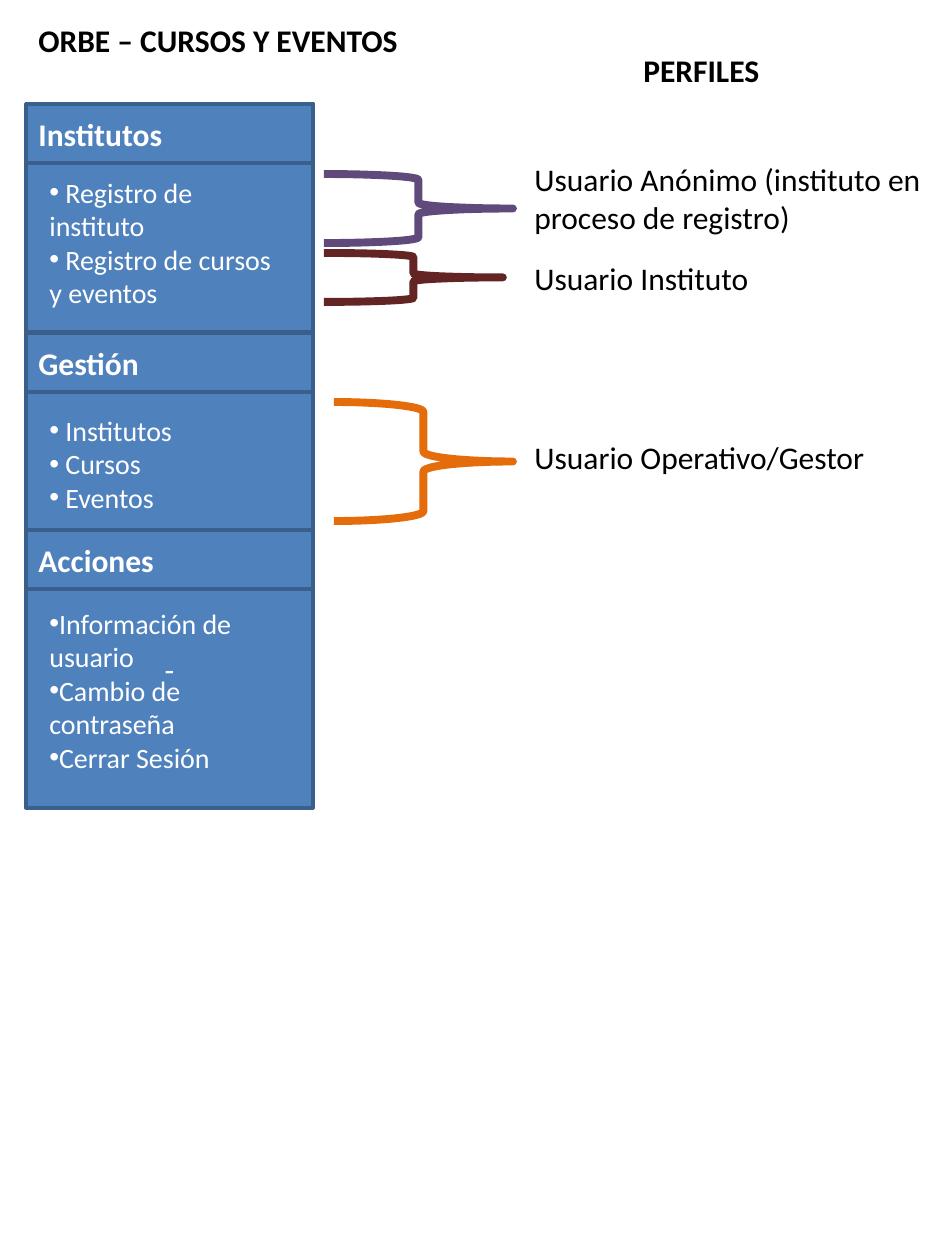
"""Build the slide that links the menu sections of a course portal to user profiles."""
from dataclasses import dataclass

from lxml.etree import SubElement
from pptx import Presentation
from pptx.dml.color import RGBColor
from pptx.enum.shapes import MSO_SHAPE as Preset
from pptx.enum.text import MSO_ANCHOR as Anchor, MSO_AUTO_SIZE as AutoSize, PP_ALIGN as Align
from pptx.oxml.ns import qn
from pptx.util import Pt

PIXEL = 914400 // 126


@dataclass(frozen=True)
class Theme:
    font: str = "Calibri"
    heading_size: int = 18
    item_size: int = 16
    ink: str = "000000"
    white: str = "FFFFFF"
    panel: str = "4F81BD"
    border: str = "3A5F8C"
    anonymous: str = "604A7B"
    institute: str = "632523"
    manager: str = "E46C0A"


theme = Theme()


def write(shape, lines, size, color, bold=False, align=Align.LEFT, bullet=False):
    shape.text_frame.text = "\n".join(lines)
    for paragraph in shape.text_frame.paragraphs:
        paragraph.alignment = align
        for run in paragraph.runs:
            run.font.name = theme.font
            run.font.size = Pt(size)
            run.font.bold = bold
            run.font.color.rgb = RGBColor.from_string(color)
        if bullet:
            properties = paragraph._p.get_or_add_pPr()
            SubElement(properties, qn("a:buFont")).set("typeface", "Arial")
            SubElement(properties, qn("a:buChar")).set("char", "•")


def add_outlined(preset, box, line_color, line_width, fill=None):
    shape = slide.shapes.add_shape(preset, *(value * PIXEL for value in box))
    shape.shadow.inherit = False
    shape.line.color.rgb = RGBColor.from_string(line_color)
    shape.line.width = Pt(line_width)
    if fill:
        shape.fill.solid()
        shape.fill.fore_color.rgb = RGBColor.from_string(fill)
    else:
        shape.fill.background()
    shape.text_frame.vertical_anchor = Anchor.MIDDLE
    return shape


presentation = Presentation()
presentation.slide_width = 945 * PIXEL
presentation.slide_height = 1260 * PIXEL
slide = presentation.slides.add_slide(presentation.slide_layouts[6])

panel_left, panel_width, header_height = 26, 287, 59
sections = [
    ("Institutos", 104, (104, 228), (169, 149), "",
     [" Registro de instituto", " Registro de cursos y eventos"]),
    ("Gestión", 333, (392, 218), (407, 115), "",
     [" Institutos", " Cursos", " Eventos"]),
    ("Acciones", 530, (530, 278), (600, 183), "-",
     ["Información de usuario", "Cambio de contraseña", "Cerrar Sesión"]),
]
for title, header_top, (body_top, body_height), (list_top, list_height), mark, items in sections:
    body = add_outlined(Preset.RECTANGLE, (panel_left, body_top, panel_width, body_height),
                        theme.border, 2, theme.panel)
    if mark:
        write(body, [mark], theme.heading_size, theme.white, align=Align.CENTER)
    header = add_outlined(Preset.RECTANGLE, (panel_left, header_top, panel_width, header_height),
                          theme.border, 2, theme.panel)
    write(header, [title], theme.heading_size, theme.white, bold=True)
    item_list = slide.shapes.add_textbox(37 * PIXEL, list_top * PIXEL, 258 * PIXEL, list_height * PIXEL)
    item_list.text_frame.word_wrap = True
    item_list.text_frame.auto_size = AutoSize.SHAPE_TO_FIT_TEXT
    write(item_list, items, theme.item_size, theme.white, bullet=True)

labels = [
    (["ORBE – CURSOS Y EVENTOS"], (26, 15, 389, 50), True),
    (["PERFILES"], (631, 45, 142, 50), True),
    (["Usuario Anónimo (instituto en ", "proceso de registro)"], (522, 154, 423, 89), False),
    (["Usuario Instituto"], (522, 253, 242, 50), False),
    (["Usuario Operativo/Gestor"], (522, 432, 359, 50), False),
]
for lines, box, bold in labels:
    label = slide.shapes.add_textbox(*(value * PIXEL for value in box))
    label.text_frame.word_wrap = False
    label.text_frame.auto_size = AutoSize.SHAPE_TO_FIT_TEXT
    write(label, lines, theme.heading_size, theme.ink, bold=bold)

braces = [
    ((324, 174, 189, 69), theme.anonymous),
    ((324, 253, 179, 49), theme.institute),
    ((334, 402, 179, 119), theme.manager),
]
for box, color in braces:
    add_outlined(Preset.RIGHT_BRACE, box, color, 4.5)

presentation.save("out.pptx")
